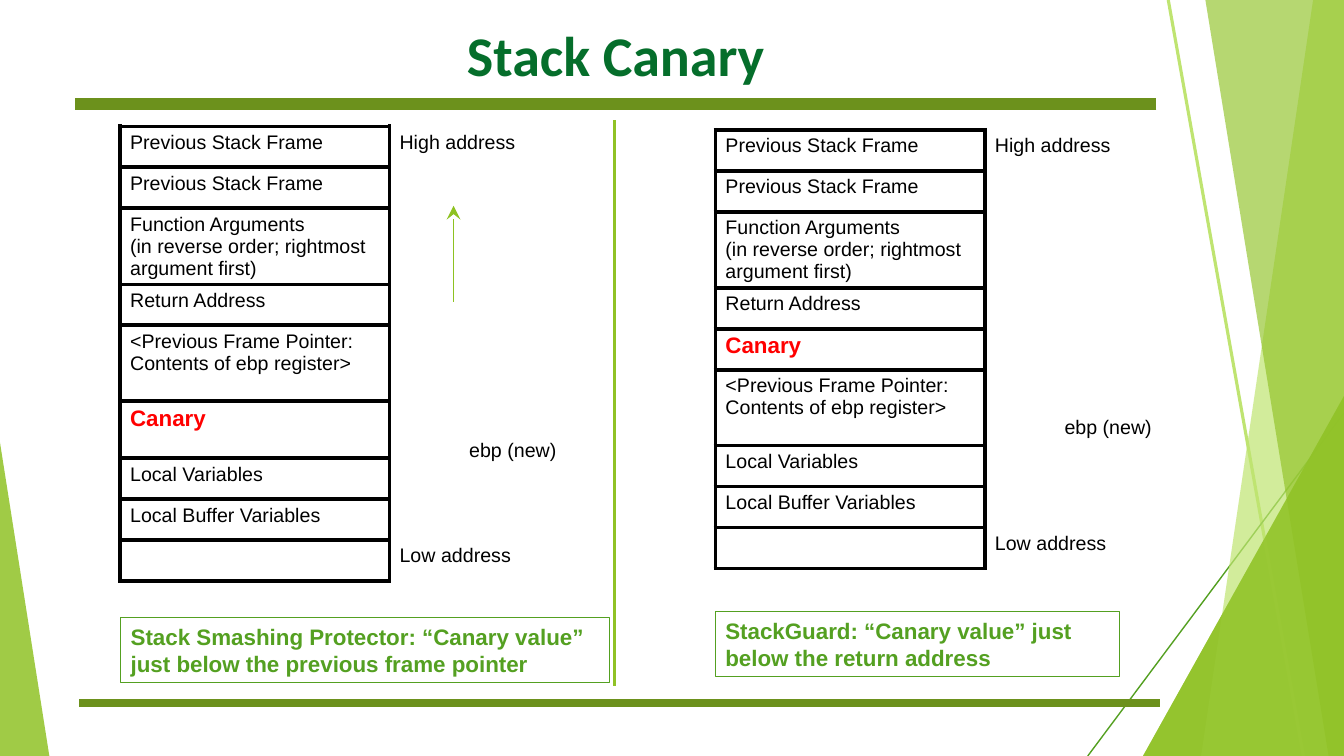
from dataclasses import dataclass

import pptx
import pptx.util
import pptx.dml.color
import pptx.enum.shapes
import pptx.enum.text
import pptx.oxml
import pptx.oxml.ns
import lxml.etree

Pt = pptx.util.Pt
SHAPE = pptx.enum.shapes.MSO_SHAPE
ALIGN = pptx.enum.text.PP_ALIGN
ANCHOR = pptx.enum.text.MSO_ANCHOR
qn = pptx.oxml.ns.qn

COLORS = {
    "lime": "90C226", "pale": "BFE471", "leaf": "54A021", "rule": "6C911C",
    "arrow": "8EC221", "title": "056E2B", "black": "000000", "red": "FF0000",
}
CANARY = "Canary"
POINTER = "<Previous Frame Pointer: Contents of ebp register>"
TOP_ROWS = [
    "Previous Stack Frame", "Previous Stack Frame",
    "Function Arguments\n(in reverse order; rightmost argument first)",
    "Return Address",
]
BOTTOM_ROWS = ["Local Variables", "Local Buffer Variables", ""]
ROW_HEIGHT = 29.25
TALL_ROW_HEIGHT = 54.25


@dataclass
class Line:
    x1: float
    y1: float
    x2: float
    y2: float
    color: str
    width: float
    arrow: bool = False


@dataclass
class Facet:
    points: list[tuple[float, float]]
    color: str
    alpha: int


@dataclass
class Triangle:
    left: float
    top: float
    width: float
    height: float
    apex: float
    alpha: int


@dataclass
class Stack:
    left: float
    top: float
    middle: list[str]
    canary_height: float
    caption: str
    caption_box: tuple[float, float, float, float]


CORNER = Triangle(816.5, 283, 143.5, 257, 1, 80)
TRIANGLES = [CORNER, Triangle(0, 316, 35.25, 224, 0, 85)]
BACK_LINES = [
    Line(834.5, 0, 931, 540, "pale", 2.25),
    Line(960, 295, 777, 540, "leaf", 1),
]
FACETS = [
    Facet([(938, 0), (960, 0), (960, 540), (858, 540)], "pale", 70),
    Facet([(861, 0), (960, 0), (960, 540), (949, 540)], "lime", 65),
]
FRONT_LINES = [
    Line(826, 74.25, 53.5, 74.25, "rule", 8.75),
    Line(828.5, 502.25, 56.25, 502.25, "rule", 6),
    Line(439, 86, 439, 490, "lime", 1.75),
    Line(324, 215.5, 324, 147, "arrow", 0.75, True),
]
STACKS = [
    Stack(85.75, 90.25, [POINTER, CANARY], 40.75,
          "Stack Smashing Protector: “Canary value” just below the previous frame pointer",
          (86.25, 441, 349.25, 46.5)),
    Stack(511, 92.75, [CANARY, POINTER], ROW_HEIGHT,
          "StackGuard: “Canary value” just below the return address",
          (511, 437, 288.75, 46)),
]


def rgb(name: str) -> pptx.dml.color.RGBColor:
    return pptx.dml.color.RGBColor.from_string(COLORS[name])


def write(tf, text: str, size: float = 14, color: str = "black", bold: bool = False,
          font: str = "Arial", align=ALIGN.LEFT) -> None:
    for i, line in enumerate(text.split("\n")):
        p = tf.add_paragraph() if i else tf.paragraphs[0]
        p.alignment = align
        r = p.add_run()
        r.text = line
        r.font.name = font
        r.font.size = Pt(size)
        r.font.bold = bold
        r.font.color.rgb = rgb(color)


def add_line(s, line: Line) -> None:
    c = s.shapes.add_connector(pptx.enum.shapes.MSO_CONNECTOR.STRAIGHT,
                               Pt(line.x1), Pt(line.y1), Pt(line.x2), Pt(line.y2))
    c.line.color.rgb = rgb(line.color)
    c.line.width = Pt(line.width)
    if line.arrow:
        lxml.etree.SubElement(c.line._get_or_add_ln(), qn("a:tailEnd"),
                              type="stealth", w="lg", len="lg")
    lxml.etree.SubElement(c._element.spPr, qn("a:effectLst"))


def fill_shape(sp, color: str, alpha: int) -> None:
    sp.shadow.inherit = False
    sp.line.fill.background()
    sp.fill.solid()
    sp.fill.fore_color.rgb = rgb(color)
    tint = next(sp._element.spPr.iter(qn("a:srgbClr")))
    lxml.etree.SubElement(tint, qn("a:alpha"), val=str(alpha * 1000))


def add_triangle(s, t: Triangle) -> None:
    sp = s.shapes.add_shape(SHAPE.ISOSCELES_TRIANGLE, Pt(t.left), Pt(t.top),
                            Pt(t.width), Pt(t.height))
    sp.adjustments[0] = t.apex
    fill_shape(sp, "lime", t.alpha)


def add_facet(s, facet: Facet) -> None:
    start, *rest = facet.points
    builder = s.shapes.build_freeform(*start, scale=Pt(1))
    builder.add_line_segments(rest, close=True)
    fill_shape(builder.convert_to_shape(), facet.color, facet.alpha)


def format_cell(cell, black_sides: str) -> None:
    tcPr = cell._tc.get_or_add_tcPr()
    for side in "LRTB":
        ln = lxml.etree.SubElement(tcPr, qn(f"a:ln{side}"), w=str(Pt(3)))
        if side in black_sides:
            fill = lxml.etree.SubElement(ln, qn("a:solidFill"))
            lxml.etree.SubElement(fill, qn("a:srgbClr"), val=COLORS["black"])
        else:
            lxml.etree.SubElement(ln, qn("a:noFill"))
    cell.fill.background()


def add_stack(s, stack: Stack) -> None:
    rows = TOP_ROWS + stack.middle + BOTTOM_ROWS
    tall = {TOP_ROWS[2]: TALL_ROW_HEIGHT, POINTER: TALL_ROW_HEIGHT,
            CANARY: stack.canary_height}
    heights = [tall.get(text, ROW_HEIGHT) for text in rows]
    table = s.shapes.add_table(len(rows), 2, Pt(stack.left), Pt(stack.top),
                               Pt(319), Pt(sum(heights))).table
    table.first_row = table.horz_banding = False
    table.columns[0].width = Pt(192.5)
    table.columns[1].width = Pt(126.5)
    for i, (text, height) in enumerate(zip(rows, heights)):
        table.rows[i].height = Pt(height)
        format_cell(table.cell(i, 0), "LRTB")
        format_cell(table.cell(i, 1), "L")
        if text == CANARY:
            write(table.cell(i, 0).text_frame, text, size=16, color="red", bold=True)
        elif text:
            write(table.cell(i, 0).text_frame, text)
    write(table.cell(0, 1).text_frame, "High address")
    write(table.cell(8, 1).text_frame, "Low address")
    ebp = table.cell(5, 1)
    ebp.merge(table.cell(6, 1))
    ebp.vertical_anchor = ANCHOR.MIDDLE
    write(ebp.text_frame, "ebp (new)", align=ALIGN.RIGHT)


def add_caption(s, stack: Stack) -> None:
    sp = s.shapes.add_shape(SHAPE.RECTANGLE, *map(Pt, stack.caption_box))
    sp.shadow.inherit = False
    sp.fill.background()
    sp.line.color.rgb = rgb("leaf")
    sp.line.width = Pt(0.75)
    sp.text_frame.word_wrap = True
    write(sp.text_frame, stack.caption, size=16, color="leaf", bold=True)


def main() -> None:
    prs = pptx.Presentation()
    prs.slide_width, prs.slide_height = Pt(960), Pt(540)
    s = prs.slides.add_slide(prs.slide_layouts[5])
    for triangle in TRIANGLES:
        add_triangle(s, triangle)
    for line in BACK_LINES:
        add_line(s, line)
    for facet in FACETS:
        add_facet(s, facet)
    add_triangle(s, CORNER)
    for line in FRONT_LINES:
        add_line(s, line)
    title = s.shapes.title
    title.left, title.top, title.width, title.height = map(Pt, (53.5, 2, 772.5, 72.75))
    title.text_frame.vertical_anchor = ANCHOR.MIDDLE
    write(title.text_frame, "Stack Canary", size=40, color="title", bold=True,
          font="Calibri", align=ALIGN.CENTER)
    for stack in STACKS:
        add_stack(s, stack)
        add_caption(s, stack)
    prs.save("out.pptx")


if __name__ == "__main__":
    main()
